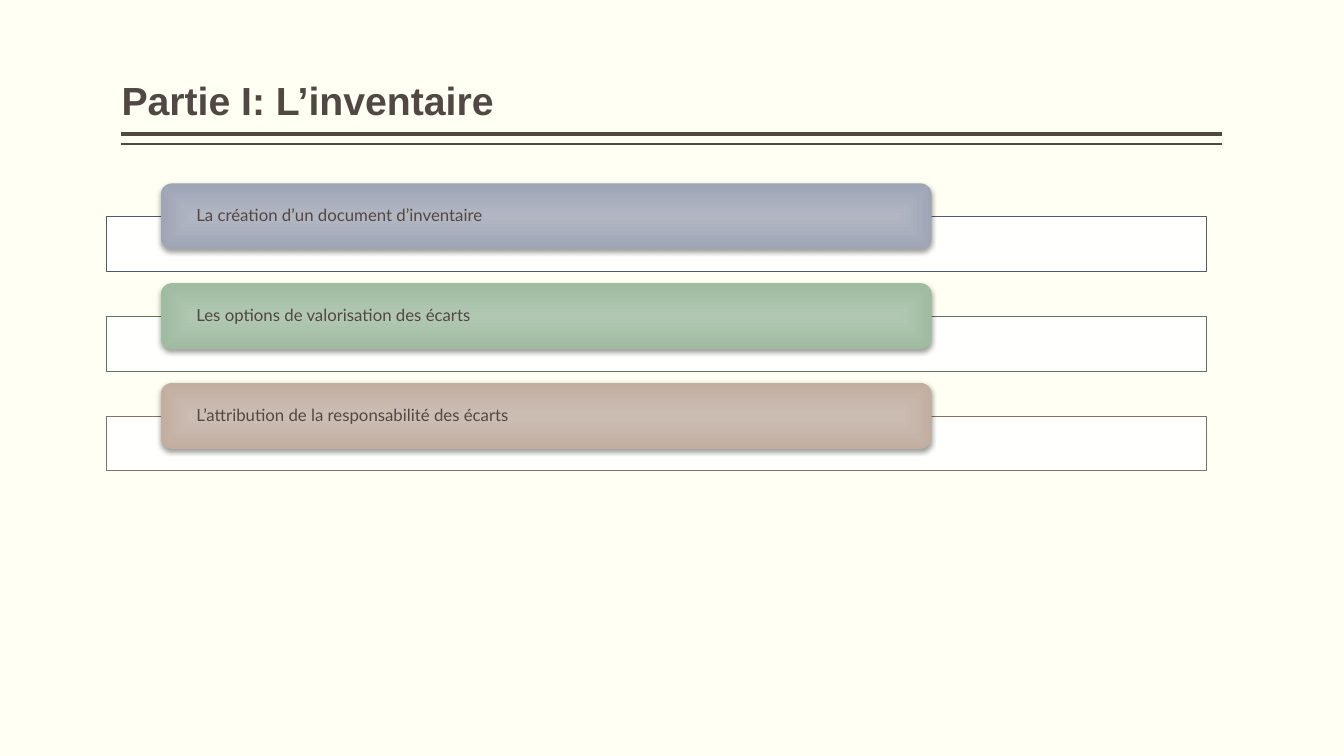
import dataclasses

import lxml.etree
import pptx
import pptx.dml.color
import pptx.enum.shapes
import pptx.enum.text
import pptx.oxml
import pptx.oxml.ns
import pptx.util

SLIDE_WIDTH, SLIDE_HEIGHT = 13.33, 7.5


@dataclasses.dataclass(frozen=True)
class Theme:
    background: str = "FFFFF3"
    ink: str = "514843"
    panel: str = "FFFFFF"
    panel_opacity: int = 90
    shadow: str = "000000"
    shadow_opacity: int = 38
    title_font: str = "Arial"
    body_font: str = "Lato"
    title_size: int = 28
    body_size: int = 12


THEME = Theme()

# Topic text, outline colour, gradient centre and gradient edge
TOPICS = [
    ("La création d’un document d’inventaire", "525A6A", "B1B6C2", "9EA5B5"),
    ("Les options de valorisation des écarts", "5C765D", "B1C7B2", "9FBBA0"),
    ("L’attribution de la responsabilité des écarts", "827266", "CCBDB3", "C2AEA1"),
]


def color(value):
    return pptx.dml.color.RGBColor.from_string(value)


def inches(*lengths):
    return [pptx.util.Inches(length) for length in lengths]


def add_child(parent, tag, **attributes):
    child = lxml.etree.SubElement(parent, pptx.oxml.ns.qn(tag))
    for name, value in attributes.items():
        child.set(name, str(value))
    return child


def set_opacity(color_element, percent):
    add_child(color_element, "a:alpha", val=percent * 1000)


def write_text(shape, text, font_format, frame_format):
    frame = shape.text_frame
    frame.text = text
    for name, value in frame_format.items():
        setattr(frame, name, value)
    paragraph = frame.paragraphs[0]
    paragraph.alignment = pptx.enum.text.PP_ALIGN.LEFT
    paragraph.line_spacing = 0.9
    font = paragraph.runs[0].font
    for name, value in font_format.items():
        setattr(font, name, value)
    font.color.rgb = color(THEME.ink)


def add_rule(slide, left, top, width, weight):
    rule = slide.shapes.add_connector(
        pptx.enum.shapes.MSO_CONNECTOR.STRAIGHT,
        *inches(left + width, top, left, top))
    rule.line.color.rgb = color(THEME.ink)
    rule.line.width = pptx.util.Pt(weight)
    add_child(rule._element.spPr, "a:effectLst")


def add_heading(slide, text, left, top, width, height):
    # Double rule under the title
    add_rule(slide, left, top + height + 0.05, width, 3)
    add_rule(slide, left, top + height + 0.15, width, 1)

    # Title placeholder
    title = slide.shapes.title
    title.left, title.top, title.width, title.height = inches(left, top, width, height)
    write_text(
        title, text,
        {"name": THEME.title_font, "size": pptx.util.Pt(THEME.title_size), "bold": True},
        {"margin_left": 0, "margin_right": 0,
         "margin_top": pptx.util.Inches(0.05), "margin_bottom": pptx.util.Inches(0.05),
         "word_wrap": True, "auto_size": pptx.enum.text.MSO_AUTO_SIZE.NONE,
         "vertical_anchor": pptx.enum.text.MSO_ANCHOR.BOTTOM})


def fill_from_center(shape, center, edge):
    shape.fill.gradient()
    for stop, value in zip(shape.fill.gradient_stops, (center, edge)):
        stop.color.rgb = color(value)
    gradient = shape._element.spPr.find(pptx.oxml.ns.qn("a:gradFill"))
    gradient.remove(gradient.find(pptx.oxml.ns.qn("a:lin")))
    shade = add_child(gradient, "a:path", path="rect")
    add_child(shade, "a:fillToRect", l=50000, t=50000, r=50000, b=50000)


def add_shadow(shape):
    effects = shape._element.spPr.find(pptx.oxml.ns.qn("a:effectLst"))
    shadow = add_child(
        effects, "a:outerShdw", blurRad=pptx.util.Pt(3.5), dist=pptx.util.Pt(2),
        dir=90 * 60000, algn="ctr", rotWithShape=0)
    set_opacity(add_child(shadow, "a:srgbClr", val=THEME.shadow), THEME.shadow_opacity)


def add_topic(slide, topic, left, top, width, height):
    text, outline, center, edge = topic
    tab_height = 0.75 * height
    panel_offset = 0.375 * height

    # Outlined panel
    panel = slide.shapes.add_shape(
        pptx.enum.shapes.MSO_SHAPE.RECTANGLE,
        *inches(left, top + panel_offset, width, height - panel_offset))
    panel.shadow.inherit = False
    panel.fill.solid()
    panel.fill.fore_color.rgb = color(THEME.panel)
    set_opacity(panel._element.spPr.find(".//" + pptx.oxml.ns.qn("a:srgbClr")),
                THEME.panel_opacity)
    panel.line.color.rgb = color(outline)
    panel.line.width = pptx.util.Pt(0.5)

    # Raised tab with the topic's name
    tab = slide.shapes.add_shape(
        pptx.enum.shapes.MSO_SHAPE.ROUNDED_RECTANGLE,
        *inches(left + 0.05 * width, top, 0.7 * width, tab_height))
    tab.shadow.inherit = False
    tab.line.fill.background()
    fill_from_center(tab, center, edge)
    add_shadow(tab)
    write_text(
        tab, text,
        {"name": THEME.body_font, "size": pptx.util.Pt(THEME.body_size)},
        {"margin_left": pptx.util.Inches(0.32), "margin_right": pptx.util.Inches(0.32),
         "margin_top": 0, "margin_bottom": 0, "word_wrap": True,
         "vertical_anchor": pptx.enum.text.MSO_ANCHOR.MIDDLE})


def add_topic_list(slide, topics, left, top, width, height):
    row_pitch = height / len(topics)
    for row, topic in enumerate(topics):
        add_topic(slide, topic, left, top + row * row_pitch, width, 0.88 * row_pitch)


def main():
    presentation = pptx.Presentation()
    presentation.slide_width, presentation.slide_height = inches(SLIDE_WIDTH, SLIDE_HEIGHT)
    slide = presentation.slides.add_slide(presentation.slide_layouts[5])
    slide.background.fill.solid()
    slide.background.fill.fore_color.rgb = color(THEME.background)

    content_width = 10.92
    add_heading(slide, "Partie I: L’inventaire",
                (SLIDE_WIDTH - content_width) / 2, 0.08, content_width, 1.2)
    add_topic_list(slide, TOPICS, 1.05, 1.82, content_width, 2.97)
    presentation.save("out.pptx")


if __name__ == "__main__":
    main()
